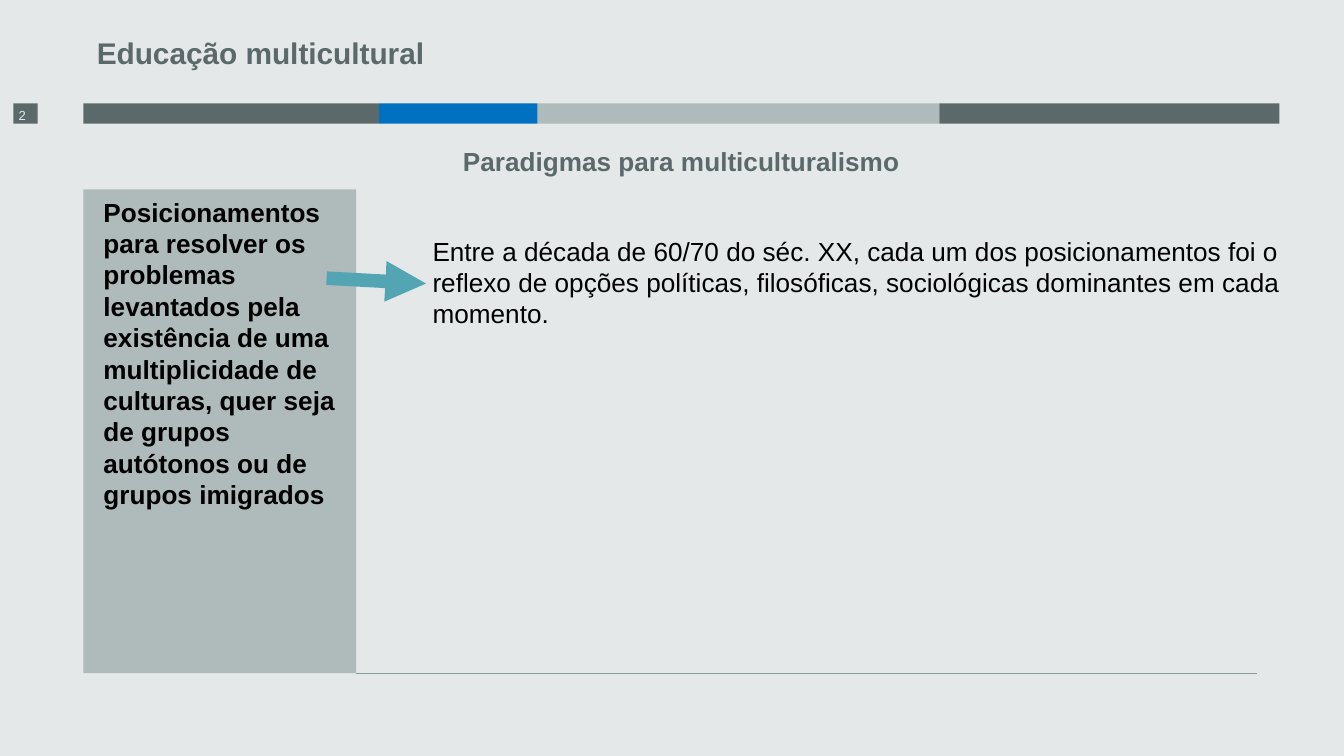
from lxml import etree
from pptx import Presentation, util as u
from pptx.dml.color import RGBColor
from pptx.enum import shapes, text
from pptx.oxml.ns import qn

COLORS = {"bg": "E4E8E8", "slate": "5B696B", "mist": "AFBABB", "blue": "0070C0",
          "number": "DDEDF0", "black": "000000", "rule": "89999B", "arrow": "53A5B3"}
LEFT, WIDTH = 0.62, 8.9


def rgb(name):
    """Return the named colour."""
    return RGBColor.from_string(COLORS[name])


def place(sp, box):
    """Move a shape to a box given in inches."""
    sp.left, sp.top, sp.width, sp.height = (u.Inches(v) for v in box)


def write(sp, words, size, color, bold=False, align=text.PP_ALIGN.LEFT, inset=0.1):
    """Fill a shape with one top-anchored, wrapped paragraph."""
    tf = sp.text_frame
    tf.word_wrap = True
    tf.auto_size = text.MSO_AUTO_SIZE.NONE
    tf.vertical_anchor = text.MSO_ANCHOR.TOP
    tf.margin_left, tf.margin_right = u.Inches(inset), u.Inches(0.1)
    tf.margin_top = tf.margin_bottom = u.Inches(0.05)
    tf.text = words
    p = tf.paragraphs[0]
    p.alignment = align
    font = p.runs[0].font
    font.name, font.size, font.bold = "Arial", u.Pt(size), bold
    font.color.rgb = rgb(color)


def add_text(s, box, *args, **kwargs):
    """Add a text box."""
    sp = s.shapes.add_textbox(0, 0, 0, 0)
    place(sp, box)
    write(sp, *args, **kwargs)


def add_rect(s, box, color):
    """Add a plain filled rectangle."""
    sp = s.shapes.add_shape(shapes.MSO_SHAPE.RECTANGLE, 0, 0, 0, 0)
    place(sp, box)
    sp.shadow.inherit = False
    sp.fill.solid()
    sp.fill.fore_color.rgb = rgb(color)
    sp.line.fill.background()
    return sp


def add_line(s, start, end, color, width, arrow=False):
    """Add a straight line, with an arrowhead at its end if asked."""
    points = (u.Inches(v) for v in (*start, *end))
    sp = s.shapes.add_connector(shapes.MSO_CONNECTOR.STRAIGHT, *points)
    sp.line.color.rgb = rgb(color)
    sp.line.width = u.Pt(width)
    if arrow:
        ln = sp._element.spPr.find(qn("a:ln"))
        etree.SubElement(ln, qn("a:tailEnd"), type="triangle")
    etree.SubElement(sp._element.spPr, qn("a:effectLst"))


def header(s, box, title, subtitle, number):
    """Place the title, the segmented band, the page number and the subtitle."""
    left, top, width, height = box
    band = top + 0.56
    x = left
    for share, color in ((2.2, "slate"), (1.18, "blue"), (2.99, "mist"), (2.53, "slate")):
        w = width * share / 8.9
        add_rect(s, (x, band, w, 0.15), color)
        x += w
    add_rect(s, (left - 0.52, band, 0.18, 0.15), "slate")
    add_text(s, (left - 0.58, band - 0.02, 0.47, 0.31), number, 7, "number")
    place(s.shapes.title, (left, top, width, 0.71))
    write(s.shapes.title, title, 16, "slate", bold=True)
    add_text(s, (left, top + height - 0.34, width, 0.34), subtitle, 14, "slate",
             bold=True, align=text.PP_ALIGN.CENTER)


def body(s, box, positions, context):
    """Place the side panel, the base rule, the context and the arrow to it."""
    left, top, width, height = box
    panel = 2.03
    edge, base = left + panel, top + height
    sp = add_rect(s, (left, top, panel, height), "mist")
    write(sp, positions, 14, "black", bold=True, inset=0.15)
    add_line(s, (edge, base), (left + width, base), "rule", 0.75)
    add_text(s, (edge + 0.47, top + 0.29, 6.7, 0.81), context, 14, "black")
    add_line(s, (edge - 0.22, top + 0.66), (edge + 0.52, top + 0.7), "arrow", 7.25, True)


def main():
    """Build and save the slide."""
    prs = Presentation()
    prs.slide_width, prs.slide_height = u.Inches(10), u.Inches(10 * 9 / 16)
    s = prs.slides.add_slide(prs.slide_layouts[5])
    s.background.fill.solid()
    s.background.fill.fore_color.rgb = rgb("bg")
    header(s, (LEFT, 0.21, WIDTH, 1.16), "Educação multicultural",
           "Paradigmas para multiculturalismo", "2")
    body(s, (LEFT, 1.41, 8.73, 3.6),
         "Posicionamentos para resolver os problemas levantados pela existência de uma "
         "multiplicidade de culturas, quer seja de grupos autótonos ou de grupos imigrados",
         "Entre a década de 60/70 do séc. XX, cada um dos posicionamentos foi o reflexo de "
         "opções políticas, filosóficas, sociológicas dominantes em cada momento.")
    prs.save("out.pptx")


main()
